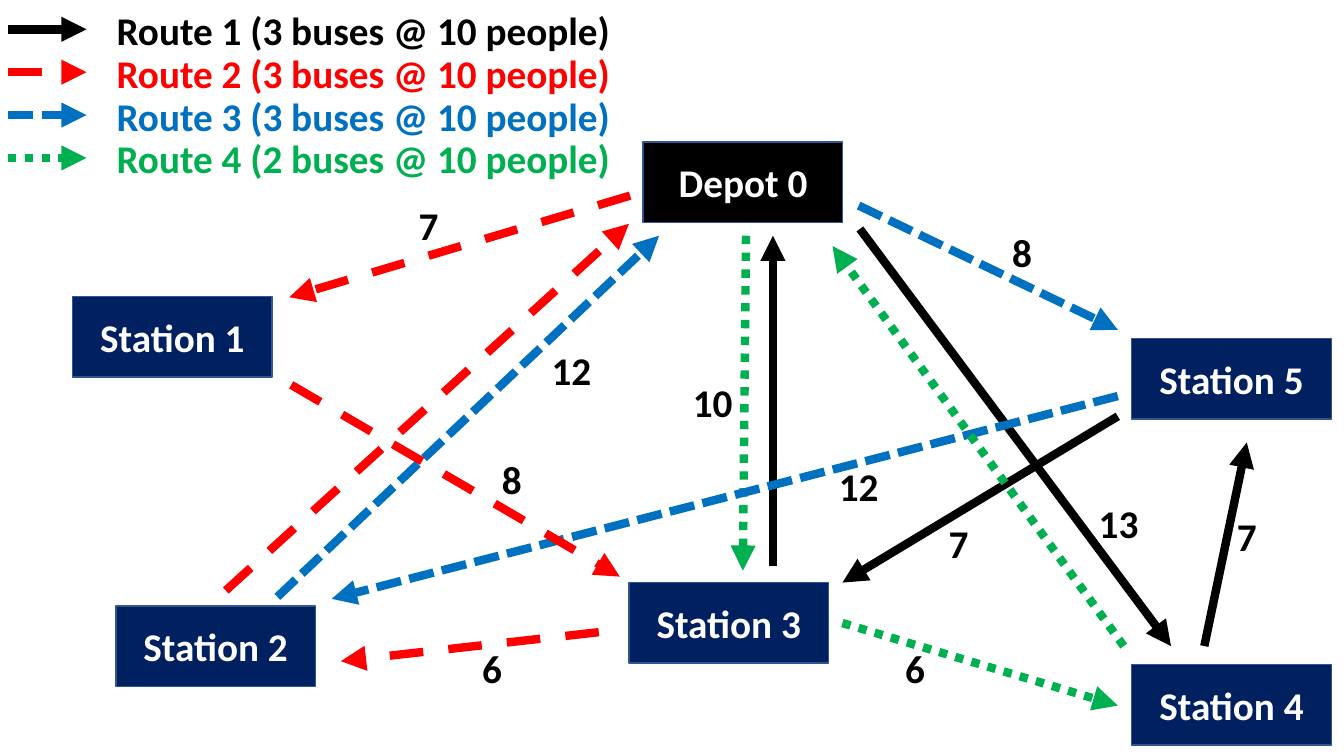
from lxml import etree
from pptx import Presentation
from pptx.dml.color import RGBColor
from pptx.enum.shapes import MSO_CONNECTOR, MSO_SHAPE
from pptx.enum.text import MSO_ANCHOR, MSO_AUTO_SIZE, PP_ALIGN
from pptx.oxml.ns import qn
from pptx.util import Cm, Pt

STRAIGHT = MSO_CONNECTOR.STRAIGHT
RECTANGLE = MSO_SHAPE.RECTANGLE
MIDDLE = MSO_ANCHOR.MIDDLE
FIT_SHAPE = MSO_AUTO_SIZE.SHAPE_TO_FIT_TEXT
LEFT, CENTER = PP_ALIGN.LEFT, PP_ALIGN.CENTER

COLORS = {
    "black": "000000",
    "red": "FF0000",
    "blue": "0070C0",
    "green": "00B050",
    "navy": "002060",
    "border": "325491",
    "white": "FFFFFF",
}
FONT = {"name": "Calibri", "size": Pt(28), "bold": True}

# All positions and sizes below are in centimetres
SLIDE_SIZE = (33.87, 19.05)
STOP_SIZE = (5.03, 2.03)
TEXT_HEIGHT = 1.45

# Route number: color, dash, buses
ROUTES = {
    1: ("black", "solid", 3),
    2: ("red", "dash", 3),
    3: ("blue", "sysDash", 3),
    4: ("green", "sysDot", 2),
}
STOPS = [
    ("Station 1", "navy", 1.83, 7.47),
    ("Station 5", "navy", 28.52, 8.53),
    ("Station 2", "navy", 2.92, 15.27),
    ("Depot 0", "black", 16.21, 3.58),
    ("Station 3", "navy", 15.85, 14.68),
    ("Station 4", "navy", 28.52, 16.74),
]
# Route number, start, end
LEGS = [
    (1, (21.67, 5.77), (29.51, 16.28)),
    (4, (18.8, 5.94), (18.72, 14.38)),
    (2, (15.88, 4.93), (7.29, 7.49)),
    (3, (21.64, 5.18), (28.17, 8.31)),
    (1, (30.35, 16.28), (31.42, 11.15)),
    (1, (28.17, 10.49), (21.23, 14.68)),
    (1, (19.48, 14.27), (19.48, 5.94)),
    (3, (28.17, 9.98), (8.36, 15.09)),
    (3, (6.99, 15.04), (16.61, 5.94)),
    (2, (7.34, 9.7), (15.62, 14.53)),
    (2, (15.09, 15.93), (8.59, 16.66)),
    (2, (5.69, 14.88), (15.85, 5.64)),
    (4, (21.23, 15.7), (28.17, 17.78)),
    (4, (28.32, 16.28), (20.98, 6.2)),
]
# Passenger count, horizontal center, top
PASSENGERS = [
    (8, 25.76, 5.64),
    (12, 21.64, 11.53),
    (7, 10.8, 4.95),
    (10, 17.96, 9.42),
    (12, 14.4, 8.59),
    (6, 23.06, 16.1),
    (8, 12.9, 11.35),
    (13, 28.19, 12.45),
    (7, 31.42, 12.78),
    (6, 12.4, 16.1),
    (7, 24.16, 12.95),
]


def rgb(color):
    return RGBColor.from_string(COLORS[color])


def write_text(text_frame, text, color, alignment):
    paragraph = text_frame.paragraphs[0]
    paragraph.alignment = alignment
    run = paragraph.add_run()
    run.text = text
    for name, value in FONT.items():
        setattr(run.font, name, value)
    run.font.color.rgb = rgb(color)


def add_label(slide, box, text, color, alignment):
    label = slide.shapes.add_textbox(*map(Cm, box))
    label.text_frame.word_wrap = False
    label.text_frame.auto_size = FIT_SHAPE
    write_text(label.text_frame, text, color, alignment)


def add_arrow(slide, route, start, end):
    color, dash, _ = ROUTES[route]
    arrow = slide.shapes.add_connector(STRAIGHT, *map(Cm, start + end))
    arrow.line.width = Pt(6)
    arrow.line.color.rgb = rgb(color)
    properties = arrow._element.spPr
    line = properties.find(qn("a:ln"))
    etree.SubElement(line, qn("a:prstDash"), val=dash)
    etree.SubElement(line, qn("a:tailEnd"), type="triangle")
    etree.SubElement(properties, qn("a:effectLst"))


def add_stop(slide, name, color, left, top):
    stop = slide.shapes.add_shape(RECTANGLE, *map(Cm, (left, top) + STOP_SIZE))
    stop.shadow.inherit = False
    stop.fill.solid()
    stop.fill.fore_color.rgb = rgb(color)
    stop.line.color.rgb = rgb("border")
    stop.line.width = Pt(1)
    stop.text_frame.vertical_anchor = MIDDLE
    write_text(stop.text_frame, name, "white", CENTER)


def add_legend(slide, left, top, width, row_height):
    """One row per route: sample arrow, then its capacity."""
    arrow_length, text_offset = 1.98, 2.49
    for row, (route, (color, _, buses)) in enumerate(ROUTES.items()):
        row_top = top + row * row_height
        arrow_y = row_top + 0.71
        add_arrow(slide, route, (left, arrow_y), (left + arrow_length, arrow_y))
        box = (left + text_offset, row_top, width - text_offset, TEXT_HEIGHT)
        text = f"Route {route} ({buses} buses @ 10 people)"
        add_label(slide, box, text, color, LEFT)


def add_network(slide, left, top):
    """Stops, the legs between them and the passenger counts."""
    for name, color, x, y in STOPS:
        add_stop(slide, name, color, left + x, top + y)
    for route, *ends in LEGS:
        start, end = [(left + x, top + y) for x, y in ends]
        add_arrow(slide, route, start, end)
    for count, center, y in PASSENGERS:
        width = 1.02 if count < 10 else 1.52
        box = (left + center - width / 2, top + y, width, TEXT_HEIGHT)
        add_label(slide, box, str(count), "black", CENTER)


def main():
    presentation = Presentation()
    presentation.slide_width, presentation.slide_height = map(Cm, SLIDE_SIZE)
    slide = presentation.slides.add_slide(presentation.slide_layouts[6])
    add_legend(slide, left=0.2, top=0.03, width=15.57, row_height=1.08)
    add_network(slide, left=0, top=0)
    presentation.save("out.pptx")


if __name__ == "__main__":
    main()
